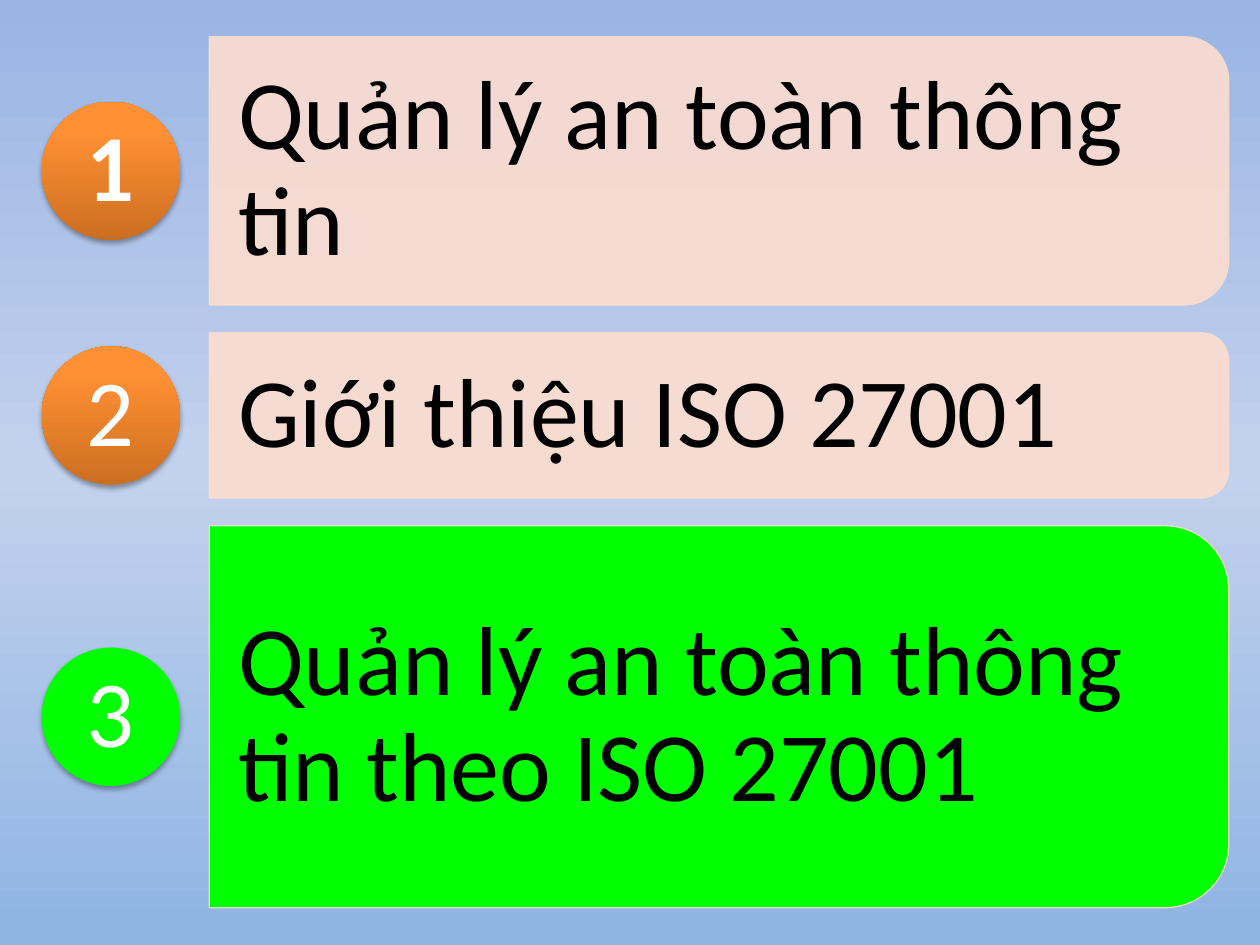
from copy import deepcopy
from dataclasses import dataclass

from lxml.etree import SubElement
from pptx import Presentation
from pptx.dml.color import RGBColor
from pptx.enum.shapes import MSO_SHAPE
from pptx.enum.text import MSO_ANCHOR, PP_ALIGN
from pptx.oxml.ns import qn
from pptx.util import Cm, Pt

AGENDA = [
    {"topic": "Quản lý an toàn thông tin", "height": 5.41, "bold": True, "current": False},
    {"topic": "Giới thiệu ISO 27001", "height": 3.33, "bold": False, "current": False},
    {"topic": "Quản lý an toàn thông tin theo ISO 27001", "height": 7.7, "bold": False, "current": True},
]


@dataclass(frozen=True)
class Theme:
    font: str = "Calibri"
    topic_size: int = 56
    number_size: int = 54
    topic_color: str = "000000"
    number_color: str = "FFFFFF"
    panel: str = "FCDDCF"
    current: str = "00FF00"
    shadow: str = "000000"
    sky: tuple = ((0, "9AB5E4"), (50, "C2D1ED"), (100, "8EB4E3"))
    orange: tuple = ((0, "CC6E20"), (80, "FF9034"), (100, "FF9136"))


THEME = Theme()
FIRST_TOP, GAP = 0.74, 0.56
PANEL_LEFT, PANEL_WIDTH = 4.22, 20.55
BADGE_LEFT, BADGE_SIZE, BADGE_INSET = 0.84, 2.79, 0.41
CORNER_INSET = 0.1667 * 0.293
TOPIC_MARGINS = (0.58, 0.41)


def fill_gradient(fill, owner, stops, angle):
    fill.gradient()
    fill.gradient_angle = angle
    stop_list = next(owner.iter(qn("a:gsLst")))
    while len(stop_list) < len(stops):
        stop_list.append(deepcopy(stop_list[0]))
    for stop, (position, color) in zip(fill.gradient_stops, stops):
        stop.color.rgb = RGBColor.from_string(color)
        stop.position = position / 100


def fill_solid(fill, color):
    fill.solid()
    fill.fore_color.rgb = RGBColor.from_string(color)


def set_alpha(color_element, percent):
    SubElement(color_element, qn("a:alpha"), val=str(percent * 1000))


def add_shadow(badge):
    effects = badge.element.spPr.find(qn("a:effectLst"))
    shadow = SubElement(effects, qn("a:outerShdw"), blurRad=str(Pt(3.1)), dist=str(Pt(1.8)),
                        dir="5400000", rotWithShape="0")
    set_alpha(SubElement(shadow, qn("a:srgbClr"), val=THEME.shadow), 35)


def add_label(slide, words, box, margins, size, color, bold=False, align=PP_ALIGN.LEFT):
    frame = slide.shapes.add_textbox(*map(Cm, box)).text_frame
    frame.word_wrap = True
    frame.vertical_anchor = MSO_ANCHOR.MIDDLE
    frame.margin_left = frame.margin_right = Cm(margins[0])
    frame.margin_top = frame.margin_bottom = Cm(margins[1])
    frame.text = words
    paragraph = frame.paragraphs[0]
    paragraph.alignment = align
    paragraph.line_spacing = 0.9
    font = paragraph.runs[0].font
    font.name, font.size, font.bold = THEME.font, Pt(size), bold
    font.color.rgb = RGBColor.from_string(color)


def add_panel(slide, item, top):
    height = item["height"]
    left = PANEL_LEFT + (PANEL_WIDTH - height) / 2
    turned_top = top + (height - PANEL_WIDTH) / 2
    panel = slide.shapes.add_shape(MSO_SHAPE.ROUND_2_SAME_RECTANGLE, Cm(left), Cm(turned_top),
                                   Cm(height), Cm(PANEL_WIDTH))
    panel.rotation = 90
    panel.shadow.inherit = False
    fill_solid(panel.fill, THEME.current if item["current"] else THEME.panel)
    fill_solid(panel.line.fill, THEME.panel)
    panel.line.width = Pt(0.75)
    for color in list(panel.element.spPr.iter(qn("a:srgbClr"))):
        if color.get("val") == THEME.panel:
            set_alpha(color, 90)
    inset = height * CORNER_INSET
    box = (PANEL_LEFT, top + inset, PANEL_WIDTH - inset, height - 2 * inset)
    add_label(slide, item["topic"], box, TOPIC_MARGINS, THEME.topic_size, THEME.topic_color)


def add_badge(slide, number, item, top):
    badge_top = top + (item["height"] - BADGE_SIZE) / 2
    badge = slide.shapes.add_shape(MSO_SHAPE.OVAL, Cm(BADGE_LEFT), Cm(badge_top),
                                   Cm(BADGE_SIZE), Cm(BADGE_SIZE))
    badge.line.fill.background()
    badge.shadow.inherit = False
    if item["current"]:
        fill_solid(badge.fill, THEME.current)
    else:
        fill_gradient(badge.fill, badge.element, THEME.orange, 90)
    add_shadow(badge)
    inner = BADGE_SIZE - 2 * BADGE_INSET
    box = (BADGE_LEFT + BADGE_INSET, badge_top + BADGE_INSET, inner, inner)
    add_label(slide, str(number), box, (0, 0), THEME.number_size, THEME.number_color,
              item["bold"], PP_ALIGN.CENTER)


def main():
    deck = Presentation()
    deck.slide_width, deck.slide_height = Cm(25.4), Cm(19.05)
    slide = deck.slides.add_slide(deck.slide_layouts[6])
    fill_gradient(slide.background.fill, slide.element, THEME.sky, 270)
    top = FIRST_TOP
    for number, item in enumerate(AGENDA, start=1):
        add_panel(slide, item, top)
        add_badge(slide, number, item, top)
        top += item["height"] + GAP
    deck.save("out.pptx")


if __name__ == "__main__":
    main()
